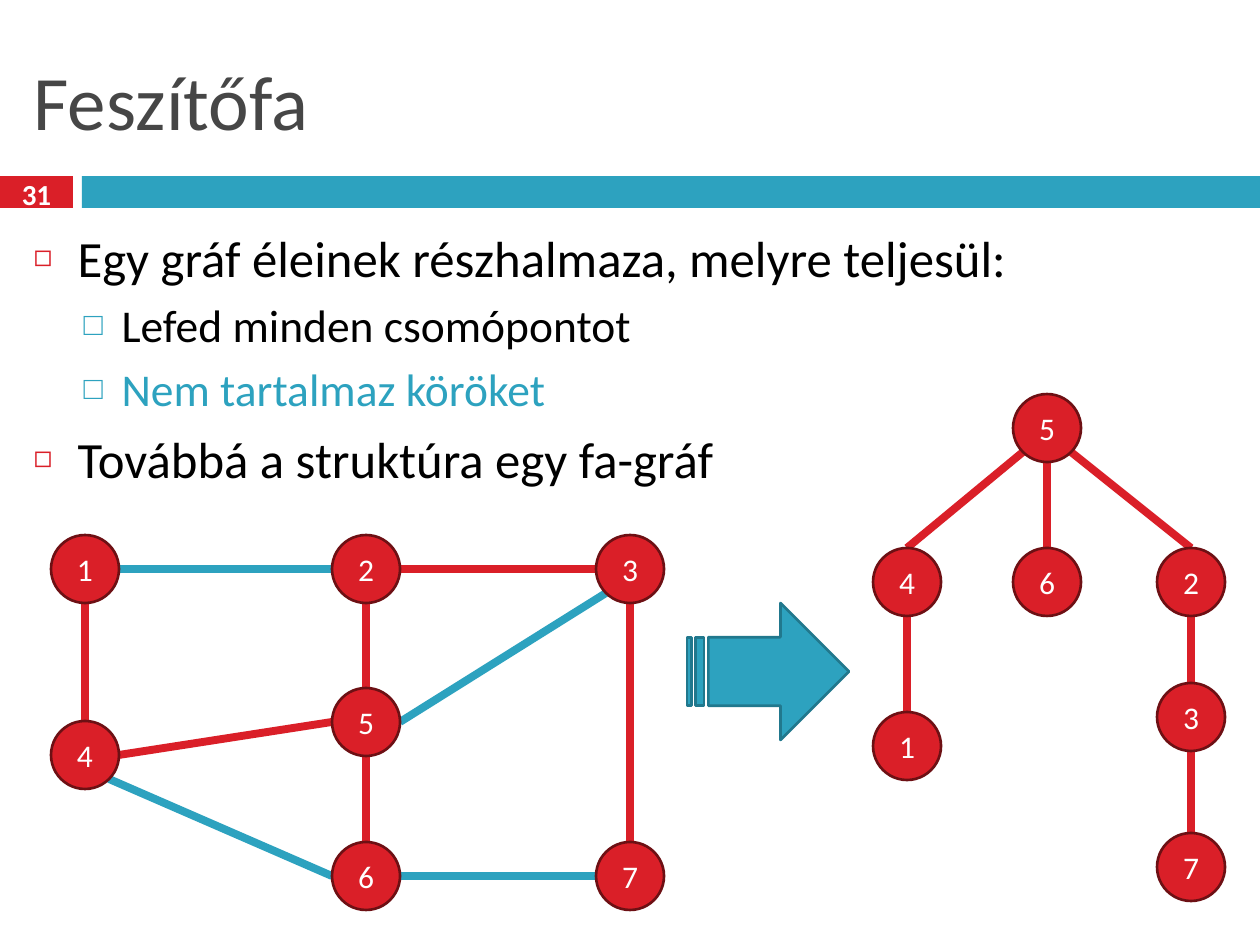
from lxml import etree
from pptx import Presentation, util as u
from pptx.dml.color import RGBColor
from pptx.enum import shapes, text
from pptx.oxml import ns

PX_PER_INCH = 126
RED, DARK_RED = "DA1F28", "6D1014"
BLUE, DARK_BLUE = "2DA2BF", "21788D"
WHITE, BLACK, GREY = "FFFFFF", "000000", "464646"
FONT = "Calibri"
RADIUS = 34
DIAGONAL = 24  # offset of the diagonal points on a node's rim

# Points on a node's rim, as offsets from its centre
RIM = {
    "top": (0, -RADIUS), "bottom": (0, RADIUS),
    "left": (-RADIUS, 0), "right": (RADIUS, 0),
    "lower left": (-DIAGONAL, DIAGONAL), "lower right": (DIAGONAL, DIAGONAL),
}

# Node centres by label
GRAPH_NODES = {
    1: (85, 569), 4: (85, 755),
    2: (366, 569), 5: (366, 722), 6: (366, 876),
    3: (630, 569), 7: (630, 876),
}
TREE_NODES = {
    5: (1047, 428),
    4: (907, 582), 6: (1047, 582), 2: (1191, 582),
    1: (907, 746), 3: (1191, 717), 7: (1191, 867),
}

# Edges: node, rim point, node, rim point, colour
GRAPH_EDGES = [
    (1, "right", 2, "left", BLUE),
    (5, "right", 3, "lower left", BLUE),
    (6, "right", 7, "left", BLUE),
    (4, "lower right", 6, "left", BLUE),
    (2, "right", 3, "left", RED),
    (2, "bottom", 5, "top", RED),
    (5, "bottom", 6, "top", RED),
    (3, "bottom", 7, "top", RED),
    (1, "bottom", 4, "top", RED),
    (4, "right", 5, "left", RED),
]
TREE_EDGES = [
    (5, "lower left", 4, "top", RED),
    (5, "bottom", 6, "top", RED),
    (5, "lower right", 2, "top", RED),
    (4, "bottom", 1, "top", RED),
    (2, "bottom", 3, "top", RED),
    (3, "bottom", 7, "top", RED),
]

# Body lines: level, colour, wording
BODY = [
    (0, BLACK, "Egy gráf éleinek részhalmaza, melyre teljesül:"),
    (1, BLACK, "Lefed minden csomópontot"),
    (1, BLUE, "Nem tartalmaz köröket"),
    (0, BLACK, "Továbbá a struktúra egy fa-gráf"),
]
# Per level: text size, space before, left margin, hanging indent, bullet, colour, percent
LEVELS = [
    (29, 7, 44, 44, "◻", RED, 60),
    (26, 5.5, 88, 38, "□", BLUE, 70),
]


def px(*lengths):
    return [u.Emu(round(n * 914400 / PX_PER_INCH)) for n in lengths]


def rgb(value):
    return RGBColor.from_string(value)


def style(paragraph, size, color, bold=False, align=text.PP_ALIGN.LEFT):
    font = paragraph.font
    font.name, font.size, font.bold = FONT, u.Pt(size), bold
    font.color.rgb = rgb(color)
    paragraph.alignment = align


def place(placeholder, left, top, width, height):
    placeholder.left, placeholder.top, placeholder.width, placeholder.height = px(
        left, top, width, height)
    placeholder.text_frame.auto_size = text.MSO_AUTO_SIZE.NONE


def add_bullet(paragraph, margin, hanging, char, color, percent):
    props = paragraph._p.get_or_add_pPr()
    props.set("marL", str(px(margin)[0]))
    props.set("indent", str(px(-hanging)[0]))
    bullet_color = etree.SubElement(props, ns.qn("a:buClr"))
    etree.SubElement(bullet_color, ns.qn("a:srgbClr"), val=color)
    etree.SubElement(props, ns.qn("a:buSzPct"), val=str(percent * 1000))
    etree.SubElement(props, ns.qn("a:buChar"), char=char)


def fill_body(frame):
    for i, (level, color, wording) in enumerate(BODY):
        paragraph = frame.paragraphs[0] if i == 0 else frame.add_paragraph()
        size, before, *bullet = LEVELS[level]
        paragraph.text, paragraph.level = wording, level
        paragraph.space_before, paragraph.space_after = u.Pt(before), u.Pt(0)
        style(paragraph, size, color)
        add_bullet(paragraph, *bullet)


def add_figure(slide, kind, box, fill, outline=None):
    figure = slide.shapes.add_shape(kind, *px(*box))
    figure.shadow.inherit = False
    figure.fill.solid()
    figure.fill.fore_color.rgb = rgb(fill)
    if outline:
        figure.line.color.rgb = rgb(outline)
        figure.line.width = u.Pt(1.5)
    else:
        figure.line.fill.background()
    return figure


def add_label(frame, wording, size, bold=False):
    frame.margin_left = frame.margin_right = frame.margin_top = frame.margin_bottom = 0
    frame.vertical_anchor = text.MSO_ANCHOR.MIDDLE
    frame.word_wrap = True
    label = frame.paragraphs[0]
    label.text = wording
    style(label, size, WHITE, bold, text.PP_ALIGN.CENTER)


def add_edge(slide, start, end, color):
    edge = slide.shapes.add_connector(shapes.MSO_CONNECTOR.STRAIGHT, *px(*start, *end))
    edge.line.color.rgb = rgb(color)
    edge.line.width = u.Pt(4.5)
    etree.SubElement(edge._element.spPr, ns.qn("a:effectLst"))


def rim_point(center, side):
    return [c + offset for c, offset in zip(center, RIM[side])]


def add_graph(slide, nodes, edges):
    for first, first_side, second, second_side, color in edges:
        add_edge(slide, rim_point(nodes[first], first_side),
                 rim_point(nodes[second], second_side), color)
    for number, (x, y) in nodes.items():
        box = (x - RADIUS, y - RADIUS, 2 * RADIUS, 2 * RADIUS)
        node = add_figure(slide, shapes.MSO_SHAPE.OVAL, box, RED, DARK_RED)
        add_label(node.text_frame, str(number), 18)


def main():
    prs = Presentation()
    prs.slide_width, prs.slide_height = px(1260, 945)
    slide = prs.slides.add_slide(prs.slide_layouts[1])

    # Heading and the band with the page number
    title = slide.shapes.title
    place(title, 21, 32, 1218, 136)
    title.text_frame.vertical_anchor = text.MSO_ANCHOR.MIDDLE
    title.text_frame.text = "Feszítőfa"
    style(title.text_frame.paragraphs[0], 44, GREY)
    add_figure(slide, shapes.MSO_SHAPE.RECTANGLE, (0, 176, 73, 32), RED)
    add_figure(slide, shapes.MSO_SHAPE.RECTANGLE, (82, 176, 1178, 32), BLUE)
    page_number = slide.shapes.add_textbox(*px(0, 173, 73, 42))
    add_label(page_number.text_frame, "31", 16.6, bold=True)

    # Definition
    body = slide.placeholders[1]
    place(body, 21, 220, 1218, 289)
    fill_body(body.text_frame)

    # Graph, and the spanning tree taken from it
    add_graph(slide, GRAPH_NODES, GRAPH_EDGES)
    add_graph(slide, TREE_NODES, TREE_EDGES)
    add_figure(slide, shapes.MSO_SHAPE.STRIPED_RIGHT_ARROW,
               (687, 603, 162, 137), BLUE, DARK_BLUE)

    prs.save("out.pptx")


if __name__ == "__main__":
    main()
